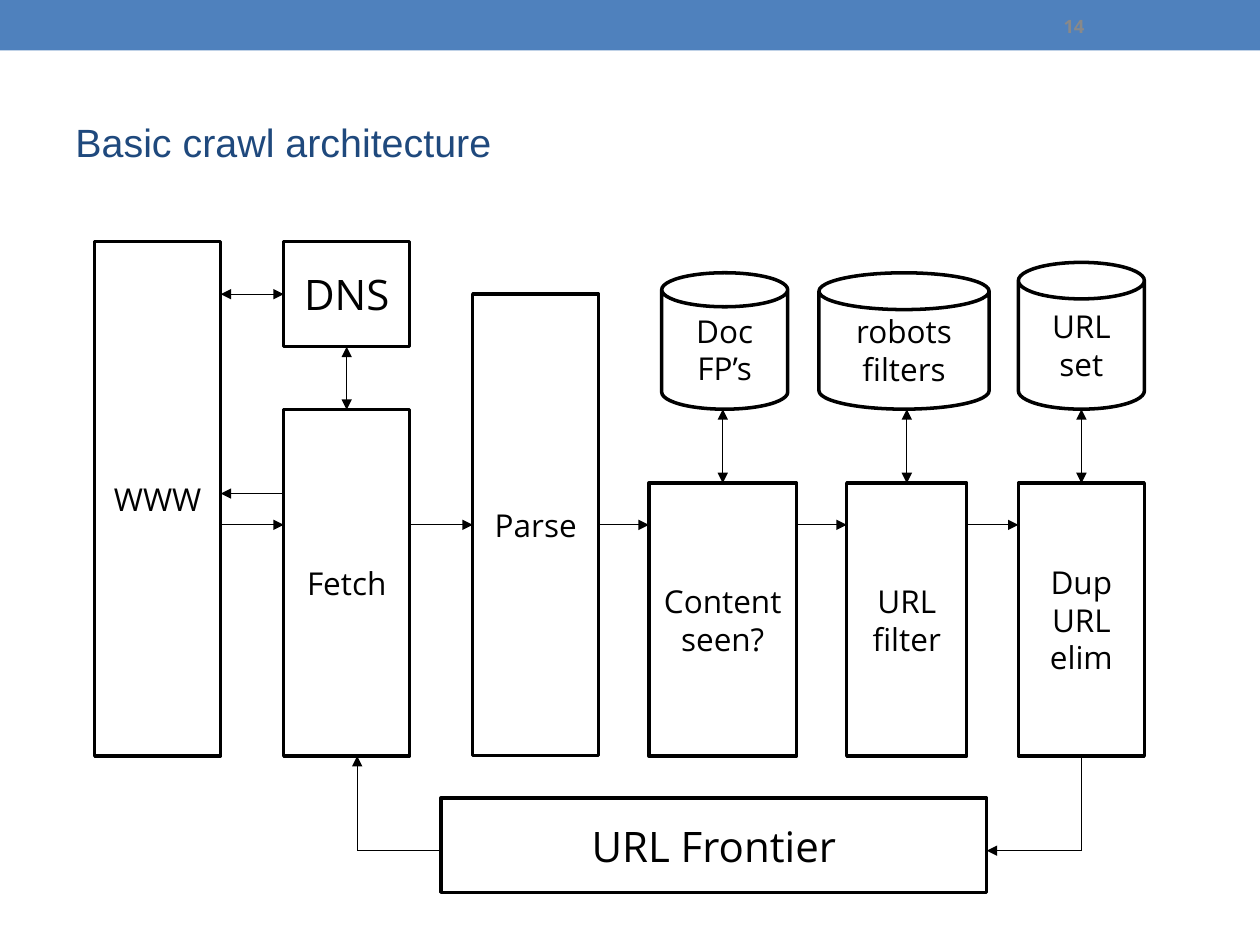
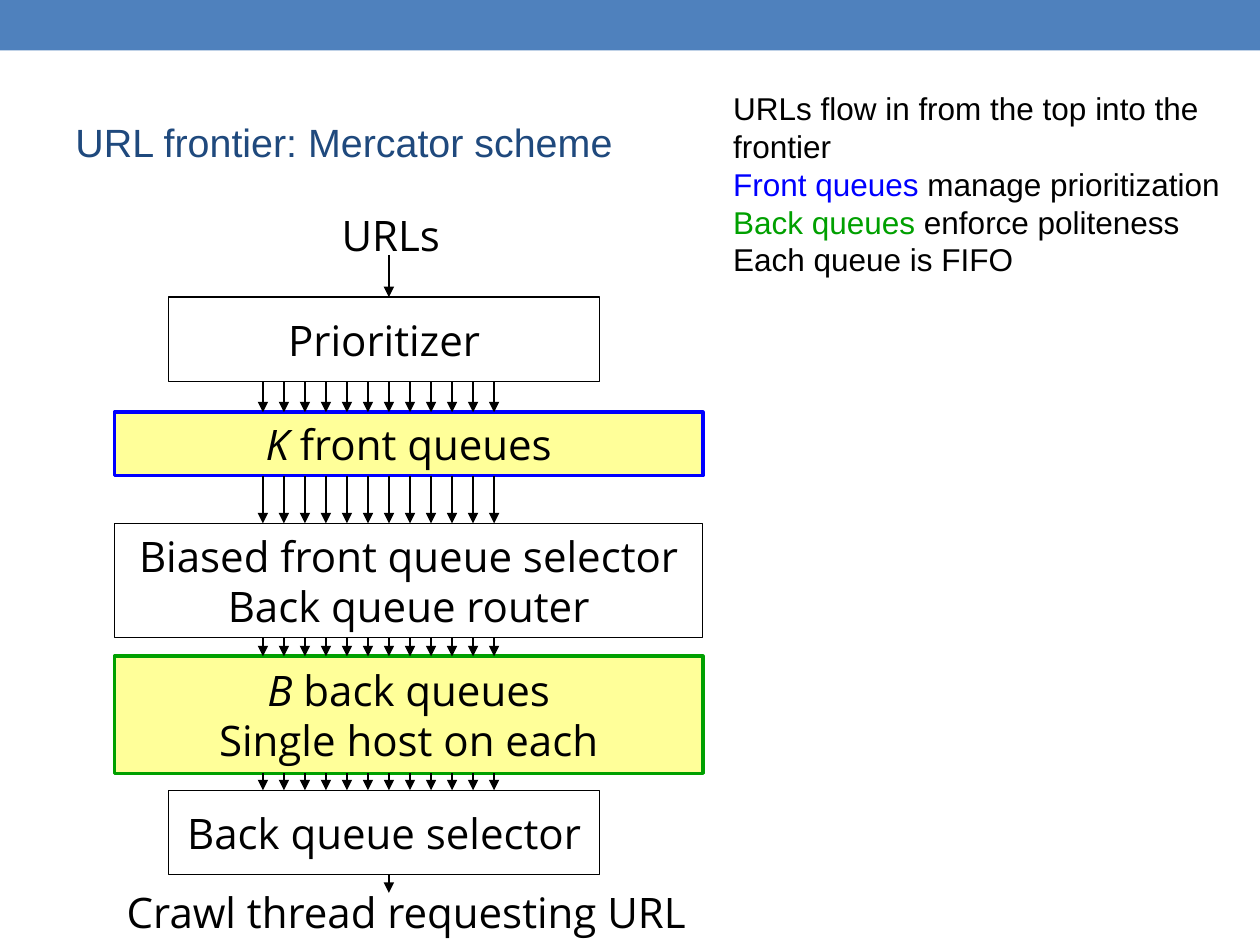
from lxml.etree import SubElement
from pptx import Presentation
from pptx.dml.color import RGBColor
from pptx.enum.shapes import MSO_CONNECTOR, MSO_SHAPE
from pptx.enum.text import MSO_ANCHOR, PP_ALIGN
from pptx.oxml.ns import qn
from pptx.util import Cm, Pt

BLACK, BAND_BLUE, TITLE_BLUE = "000000", "4F81BD", "1F497D"
FRONT_BLUE, BACK_GREEN, QUEUE_YELLOW = "0000FF", "00A000", "FFFF99"
NUMBER_GREY = "898989"
DIAGRAM_FONT, TEXT_FONT = "Open Sans", "Arial"
SLIDE_WIDTH, SLIDE_HEIGHT = 25.4, 19.05
TOP, LEFT, BOTTOM, RIGHT = range(4)
MARGINS = {
    "margin_left": Cm(0.25), "margin_right": Cm(0.25),
    "margin_top": Cm(0.13), "margin_bottom": Cm(0.13),
}
FAN_LEFT, FAN_WIDTH, FAN_COUNT = 5.3, 4.66, 12


def color(hex_value):
    return RGBColor.from_string(hex_value)


def set_values(target, values):
    for name, value in values.items():
        setattr(target, name, value)


def write_text(shape, paragraphs, size, font=DIAGRAM_FONT, align=PP_ALIGN.CENTER,
               anchor=MSO_ANCHOR.MIDDLE):
    """Fill a shape; a paragraph is a string or a list of (text, font values) runs."""
    frame = shape.text_frame
    set_values(frame, {"word_wrap": True, "vertical_anchor": anchor, **MARGINS})
    for index, content in enumerate(paragraphs):
        paragraph = frame.add_paragraph() if index else frame.paragraphs[0]
        paragraph.alignment = align
        runs = [(content, {})] if isinstance(content, str) else content
        for text, values in runs:
            values = {"name": font, "size": Pt(size), "color": BLACK, **values}
            run = paragraph.add_run()
            run.text = text
            run.font.color.rgb = color(values.pop("color"))
            set_values(run.font, values)


def add_label(slide, bounds, paragraphs, size, **text_format):
    label = slide.shapes.add_textbox(*map(Cm, bounds))
    write_text(label, paragraphs, size, **text_format)


def add_box(slide, bounds, paragraphs, size=18, kind=MSO_SHAPE.RECTANGLE,
            fill=None, line=BLACK, width=2, anchor=MSO_ANCHOR.MIDDLE):
    box = slide.shapes.add_shape(kind, *map(Cm, bounds))
    box.shadow.inherit = False
    if fill:
        box.fill.solid()
        box.fill.fore_color.rgb = color(fill)
    else:
        box.fill.background()
    if line:
        box.line.color.rgb = color(line)
        box.line.width = Pt(width)
    else:
        box.line.fill.background()
    write_text(box, paragraphs, size, anchor=anchor)
    return box


def add_store(slide, bounds, paragraphs, lid):
    store = add_box(slide, bounds, paragraphs, kind=MSO_SHAPE.CAN)
    store.adjustments[0] = lid


def add_arrow(slide, start, end, heads=("tailEnd",), begin=None, finish=None):
    """Draw a line; begin and finish are optional (box, side) joints."""
    arrow = slide.shapes.add_connector(
        MSO_CONNECTOR.STRAIGHT, *map(Cm, (*start, *end)))
    arrow.line.color.rgb = color(BLACK)
    arrow.line.width = Pt(0.75)
    line_xml = arrow.line._get_or_add_ln()
    for head in heads:
        SubElement(line_xml, qn(f"a:{head}"), type="triangle")
    SubElement(arrow._element.spPr, qn("a:effectLst"))
    if begin:
        arrow.begin_connect(*begin)
    if finish:
        arrow.end_connect(*finish)


def add_fan(slide, top, bottom):
    """Draw the row of equally spaced arrows between two stages."""
    for index in range(FAN_COUNT):
        x = FAN_LEFT + index * FAN_WIDTH / (FAN_COUNT - 1)
        add_arrow(slide, (x, top), (x, bottom))


def start_slide(presentation, title):
    slide = presentation.slides.add_slide(presentation.slide_layouts[6])
    add_box(slide, (0, 0, SLIDE_WIDTH, 1.02), [], fill=BAND_BLUE, line=None)
    add_label(slide, (1.27, 1.48, 22.86, 2.74), [[(title, {"color": TITLE_BLUE})]],
              22.5, font=TEXT_FONT, align=PP_ALIGN.LEFT)
    return slide


def build_architecture(presentation):
    slide = start_slide(presentation, "Basic crawl architecture")
    add_label(slide, (20.6, 0, 2.1, 1.06),
              [[("14", {"bold": True, "color": NUMBER_GREY})]], 10.5)

    add_box(slide, (1.91, 4.87, 2.54, 10.37), ["WWW"])
    dns = add_box(slide, (5.72, 4.87, 2.54, 2.12), ["DNS"], size=24)
    fetch = add_box(slide, (5.72, 8.26, 2.54, 6.98), ["Fetch"])
    parse = add_box(slide, (9.53, 5.93, 2.54, 9.3), ["Parse"])
    content_seen = add_box(slide, (13.08, 9.74, 2.98, 5.5), ["Content", "seen?"])
    url_filter = add_box(slide, (17.07, 9.74, 2.42, 5.5), ["URL", "filter"])
    duplicates = add_box(slide, (20.53, 9.74, 2.54, 5.5), ["Dup", "URL", "elim"])
    add_box(slide, (8.89, 16.09, 11, 1.9), ["URL Frontier"], size=24)

    add_store(slide, (13.34, 5.5, 2.54, 2.75), ["Doc", "FP’s"], 0.27)
    add_store(slide, (16.51, 5.5, 3.43, 2.75), ["robots", "filters"], 0.27)
    add_store(slide, (20.53, 5.29, 2.54, 2.96), ["URL", "set"], 0.29)

    both = ("headEnd", "tailEnd")
    add_arrow(slide, (5.72, 5.93), (4.45, 5.93), both, begin=(dns, LEFT))
    add_arrow(slide, (6.99, 6.99), (6.99, 8.26), both,
              begin=(dns, BOTTOM), finish=(fetch, TOP))
    for x, stage in ((14.57, content_seen), (18.28, url_filter), (21.8, duplicates)):
        add_arrow(slide, (x, 8.25), (x, 9.74), both, finish=(stage, TOP))

    flow = 10.58
    add_arrow(slide, (5.72, 9.95), (4.45, 9.95))
    add_arrow(slide, (4.45, flow), (5.72, flow))
    add_arrow(slide, (8.26, flow), (9.53, flow), finish=(parse, LEFT))
    add_arrow(slide, (12.07, flow), (13.08, flow), begin=(parse, RIGHT))
    add_arrow(slide, (16.06, flow), (17.07, flow))
    add_arrow(slide, (19.49, flow), (20.53, flow))

    loop = 17.15
    add_arrow(slide, (21.8, 15.24), (21.8, loop), (), begin=(duplicates, BOTTOM))
    add_arrow(slide, (21.8, loop), (19.89, loop))
    add_arrow(slide, (8.89, loop), (7.2, loop), ())
    add_arrow(slide, (7.2, loop), (7.2, 15.24))


def build_frontier(presentation):
    slide = start_slide(presentation, "URL frontier: Mercator scheme")
    italic = {"italic": True}
    wide_left, wide_width = 2.31, 11.86
    narrow_left, narrow_width, narrow_height = 3.4, 8.69, 1.7

    for top, name in ((5.99, "Prioritizer"), (15.93, "Back queue selector")):
        add_box(slide, (narrow_left, top, narrow_width, narrow_height), [name],
                size=24, width=0.75)
    add_box(slide, (wide_left, 10.55, wide_width, 2.31),
            ["Biased front queue selector", "Back queue router"], size=24, width=0.75)
    queues = (
        (8.31, 1.28, FRONT_BLUE, [[("K", italic), (" front queues", {})]]),
        (13.23, 2.36, BACK_GREEN,
         [[("B", italic), (" back queues", {})], "Single host on each"]),
    )
    for top, height, line, paragraphs in queues:
        add_box(slide, (wide_left, top, wide_width, height), paragraphs, size=24,
                fill=QUEUE_YELLOW, line=line, anchor=MSO_ANCHOR.MIDDLE)

    for top, bottom in ((7.69, 8.31), (9.59, 10.55), (12.86, 13.23), (15.59, 15.93)):
        add_fan(slide, top, bottom)
    for top, bottom in ((5.14, 5.99), (17.63, 18)):
        add_arrow(slide, (7.84, top), (7.84, bottom))

    for bounds, text in (((6.48, 4.09, 2.64, 1.28), "URLs"),
                         ((1.58, 17.75, 12.5, 1.28), "Crawl thread requesting URL")):
        add_label(slide, bounds, [text], 24, align=PP_ALIGN.RIGHT, anchor=MSO_ANCHOR.TOP)
    add_label(slide, (14.53, 1.67, 10.87, 4.11), [
        "URLs flow in from the top into the frontier",
        [("Front queues", {"color": FRONT_BLUE}), (" manage prioritization", {})],
        [("Back queues", {"color": BACK_GREEN}), (" enforce politeness", {})],
        "Each queue is FIFO",
    ], 18, font=TEXT_FONT, align=PP_ALIGN.LEFT, anchor=MSO_ANCHOR.TOP)


def main():
    presentation = Presentation()
    set_values(presentation, {
        "slide_width": Cm(SLIDE_WIDTH), "slide_height": Cm(SLIDE_HEIGHT)})
    build_architecture(presentation)
    build_frontier(presentation)
    presentation.save("out.pptx")


if __name__ == "__main__":
    main()
